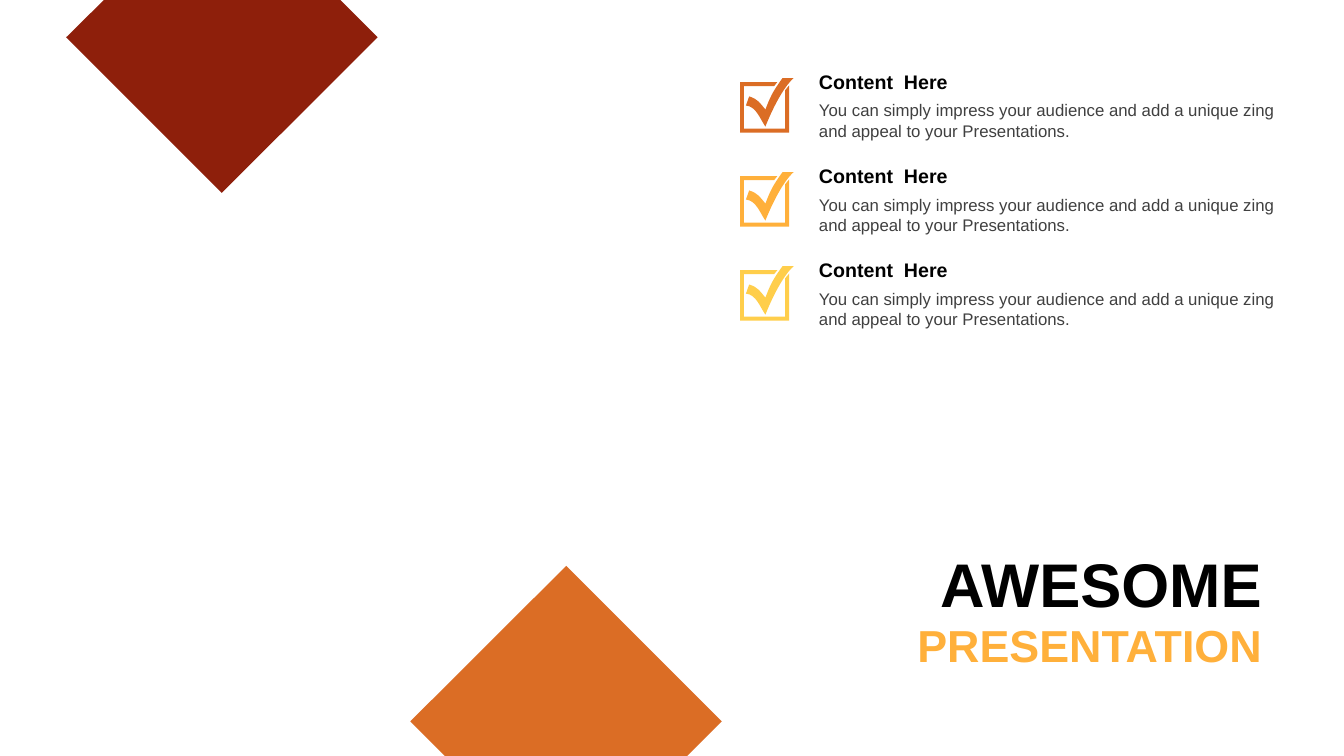
from dataclasses import dataclass

from lxml.etree import SubElement as Sub
from pptx import Presentation
from pptx.dml.color import RGBColor as Rgb
from pptx.enum.text import MSO_ANCHOR as Anchor, MSO_AUTO_SIZE as Fit, PP_ALIGN as Align
from pptx.oxml.ns import qn
from pptx.util import Cm, Pt


@dataclass(frozen=True)
class Theme:
    font: str = "Arial"
    black: str = "000000"
    gray: str = "404040"
    red: str = "8E1F0B"
    orange: str = "DB6D25"
    amber: str = "FFB03B"
    yellow: str = "FFCE4B"
    title: int = 44
    sub: int = 32
    head: int = 14
    body: int = 12


THEME = Theme()
HEAD = "Content  Here"
BODY = "You can simply impress your audience and add a unique zing and appeal to your Presentations."
STEP = 2.37

TOP = [
    [(2.62, 0)], [(8.58, 0)], [(9.52, 0.94)], [(5.59, 4.86)], [(1.67, 0.94)],
]
BASE = [
    [(14.27, 14.26)], [(18.19, 18.18)], [(17.32, 19.05)],
    [(11.21, 19.05)], [(10.34, 18.18)],
]
BOX = [
    [(0, 0.1)], [(0.94, 0.1)],
    [(0.91, 0.13), (0.89, 0.15), (0.86, 0.2)],
    [(0.1, 0.2)], [(0.1, 1.27)], [(1.14, 1.27)], [(1.14, 0.3)],
    [(1.19, 0.25), (1.22, 0.2), (1.24, 0.18)],
    [(1.24, 1.37)], [(0, 1.37)],
]
TICK = [
    [(1.35, 0)],
    [(1.09, 0.23), (0.81, 0.79), (0.64, 1.22)],
    [(0.51, 1.04), (0.41, 0.71), (0.15, 0.69)],
    [(0.23, 0.46)],
    [(0.46, 0.53), (0.51, 0.64), (0.64, 0.79)],
    [(0.76, 0.48), (0.81, 0.36), (1.07, 0)],
]


def bend(shape, loops, left, top):
    steps = [step for loop in loops for step in loop[1:]]
    nodes = list(shape._element.iter(qn("a:lnTo")))
    for node, step in zip(nodes, steps):
        if len(step) == 3:
            node.tag = qn("a:cubicBezTo")
            node.remove(node[0])
            for x, y in step:
                Sub(node, qn("a:pt"), x=str(Cm(left + x) - shape.left),
                    y=str(Cm(top + y) - shape.top))


def draw(slide, loops, color, left=0, top=0):
    first, *rest = [
        [(Cm(left + x), Cm(top + y)) for *_, (x, y) in loop] for loop in loops
    ]
    pen = slide.shapes.build_freeform(*first[0])
    pen.add_line_segments(first[1:])
    for spots in rest:
        pen.move_to(*spots[0])
        pen.add_line_segments(spots[1:])
    shape = pen.convert_to_shape()
    bend(shape, loops, left, top)
    shape.fill.solid()
    shape.fill.fore_color.rgb = Rgb.from_string(color)
    shape.line.fill.background()
    shape.shadow.inherit = False


def write(shape, text, size, color, bold=False, align=Align.LEFT, anchor=Anchor.MIDDLE):
    frame = shape.text_frame
    frame.word_wrap = True
    frame.auto_size = Fit.NONE
    frame.vertical_anchor = anchor
    para = frame.paragraphs[0]
    para.text = text
    para.alignment = align
    para.space_before = Pt(0)
    font = para.font
    font.name = THEME.font
    font.size = Pt(size)
    font.bold = bold
    font.color.rgb = Rgb.from_string(color)


def place(shape, left, top, width, height):
    shape.left, shape.top = Cm(left), Cm(top)
    shape.width, shape.height = Cm(width), Cm(height)


def label(slide, spot, text, **look):
    box = slide.shapes.add_textbox(*[Cm(n) for n in spot])
    write(box, text, **look)


def item(slide, top, color):
    label(slide, (20.39, top + 0.78, 12.24, 1.27), BODY,
          size=THEME.body, color=THEME.gray, anchor=Anchor.TOP)
    label(slide, (20.39, top, 12.24, 0.86), HEAD,
          size=THEME.head, color=THEME.black, bold=True)
    draw(slide, [BOX, TICK], color, 18.65, top + 0.35)


def main():
    deck = Presentation()
    deck.slide_width, deck.slide_height = Cm(33.87), Cm(19.05)
    slide = deck.slides.add_slide(deck.slide_layouts[0])
    title, sub = slide.placeholders
    place(title, 22.54, 13.61, 9.52, 2.14)
    write(title, "AWESOME", size=THEME.title, color=THEME.black,
          bold=True, align=Align.RIGHT)
    place(sub, 22.54, 15.43, 9.52, 1.62)
    write(sub, "PRESENTATION", size=THEME.sub, color=THEME.amber,
          bold=True, align=Align.RIGHT)
    for i, color in enumerate((THEME.orange, THEME.amber, THEME.yellow)):
        item(slide, 1.62 + i * STEP, color)
    draw(slide, [TOP], THEME.red)
    draw(slide, [BASE], THEME.orange)
    deck.save("out.pptx")


if __name__ == "__main__":
    main()
